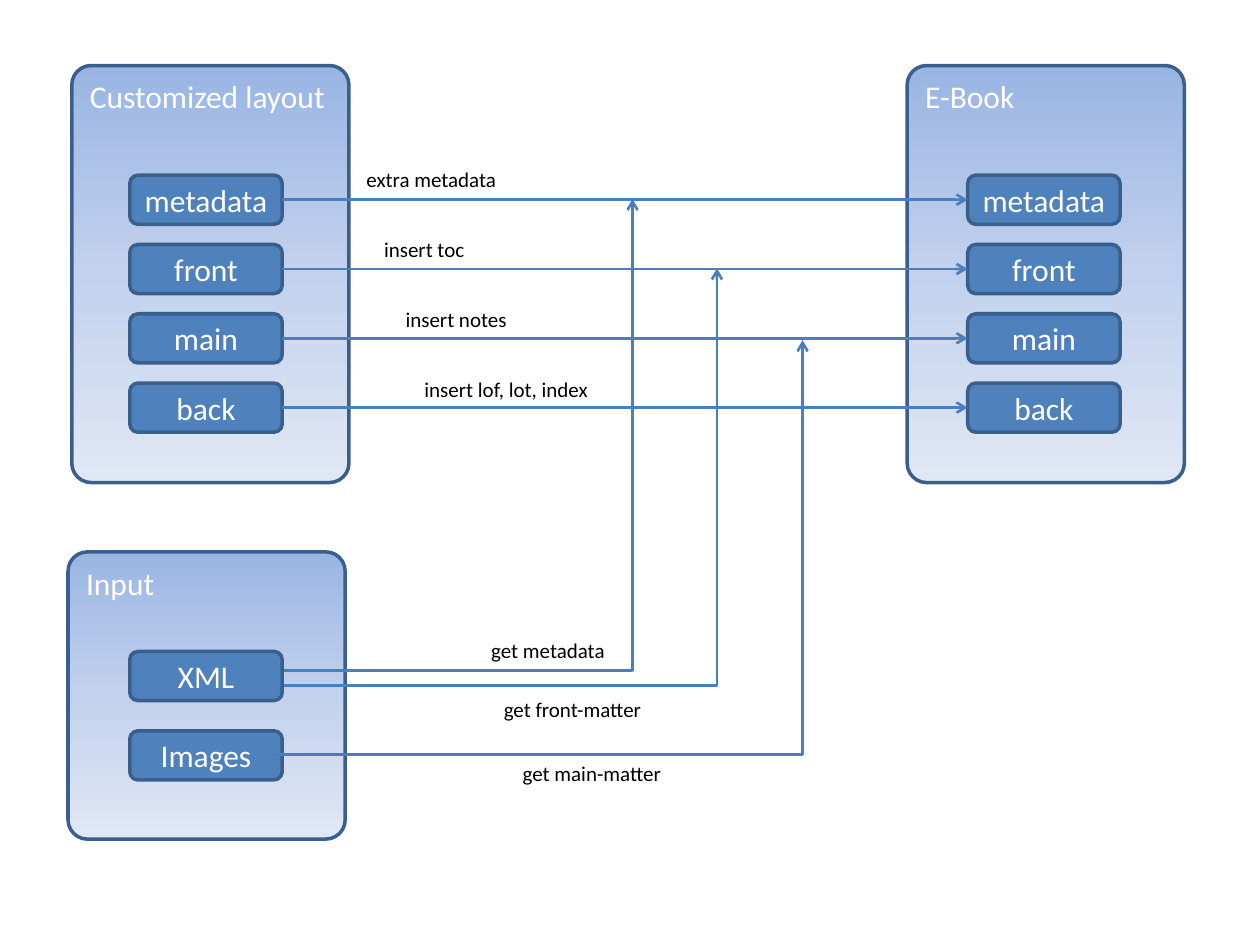
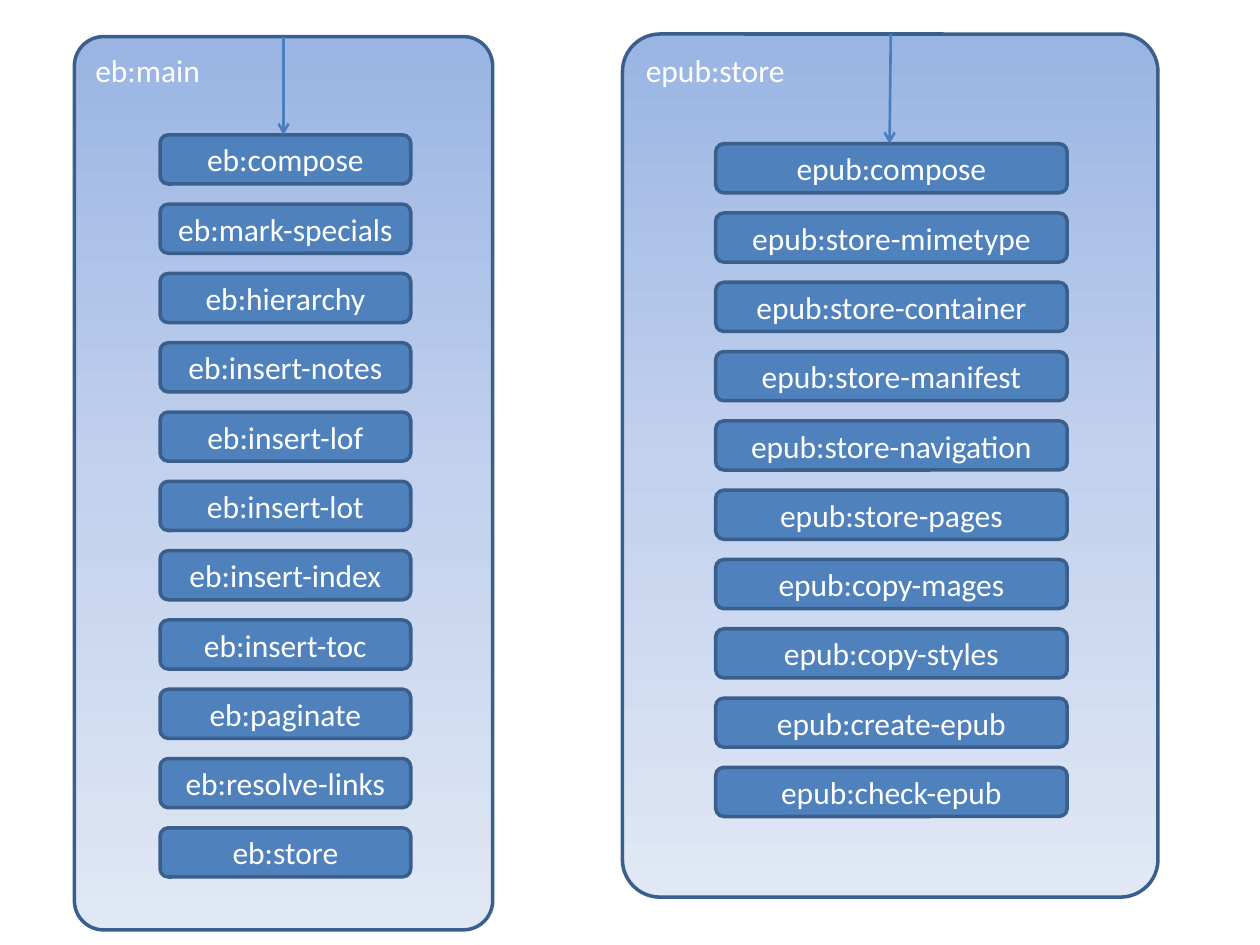
import copy
import pptx
import pptx.dml.color
import pptx.enum.shapes
import pptx.enum.text
import pptx.oxml.ns
import pptx.util
from lxml import etree

Inches = pptx.util.Inches
Pt = pptx.util.Pt
qn = pptx.oxml.ns.qn
Shape = pptx.enum.shapes.MSO_SHAPE
Link = pptx.enum.shapes.MSO_CONNECTOR
Align = pptx.enum.text.PP_ALIGN
Anchor = pptx.enum.text.MSO_ANCHOR
Fit = pptx.enum.text.MSO_AUTO_SIZE

FADE = ("9AB5E4", "C2D1ED", "E1E8F5")
BLUE, EDGE, WIRE = "4F81BD", "3A5F8C", "4B7EBC"
WHITE, BLACK = "FFFFFF", "000000"
HIGH, STEP = 0.39, 0.55
PARTS = ("metadata", "front", "main", "back")
MAIN = ("compose", "mark-specials", "hierarchy", "insert-notes",
        "insert-lof", "insert-lot", "insert-index", "insert-toc",
        "paginate", "resolve-links", "store")
STORE = ("compose", "store-mimetype", "store-container",
         "store-manifest", "store-navigation", "store-pages",
         "copy-mages", "copy-styles", "create-epub", "check-epub")


def color(code):
    return pptx.dml.color.RGBColor.from_string(code)


def style(item, form):
    for name, value in form.items():
        setattr(item, name, value)


def write(frame, text, size, code, align, form):
    style(frame, form)
    para = frame.paragraphs[0]
    para.alignment = align
    run = para.add_run()
    run.text = text
    style(run.font, {"name": "Calibri", "size": Pt(size)})
    run.font.color.rgb = color(code)


def block(slide, left, top, width, height):
    shape = slide.shapes.add_shape(
        Shape.ROUNDED_RECTANGLE,
        Inches(left), Inches(top), Inches(width), Inches(height))
    shape.shadow.inherit = False
    shape.line.width = Pt(2)
    shape.line.color.rgb = color(EDGE)
    return shape


def panel(slide, text, left, top, width, height):
    shape = block(slide, left, top, width, height)
    shape.adjustments[0] = 0.07
    shape.fill.gradient()
    shape.fill.gradient_angle = 270
    stops = shape._element.spPr.find(".//" + qn("a:gsLst"))
    stops.insert(1, copy.deepcopy(stops[0]))
    for stop, code, place in zip(shape.fill.gradient_stops, FADE, (0, 0.5, 1)):
        stop.color.rgb = color(code)
        stop.position = place
    write(shape.text_frame, text, 18, WHITE, Align.LEFT,
          {"vertical_anchor": Anchor.TOP, "word_wrap": True})


def box(slide, text, left, top, width=1.21):
    shape = block(slide, left, top, width, HIGH)
    shape.fill.solid()
    shape.fill.fore_color.rgb = color(BLUE)
    write(shape.text_frame, text, 18, WHITE, Align.CENTER,
          {"vertical_anchor": Anchor.MIDDLE, "word_wrap": True})


def stack(slide, names, left, top, width=1.21):
    for row, name in enumerate(names):
        box(slide, name, left, top + row * STEP, width)


def label(slide, text, left, top, width):
    shape = slide.shapes.add_textbox(
        Inches(left), Inches(top), Inches(width), Inches(0.3))
    write(shape.text_frame, text, 12, BLACK, Align.LEFT,
          {"word_wrap": False, "auto_size": Fit.SHAPE_TO_FIT_TEXT})


def arrow(slide, left, top, right, end, bent=False):
    wire = slide.shapes.add_connector(
        Link.ELBOW if bent else Link.STRAIGHT,
        Inches(left), Inches(top), Inches(right), Inches(end))
    wire.line.width = Pt(1.5)
    wire.line.color.rgb = color(WIRE)
    props = wire._element.spPr
    if bent:
        props.find(qn("a:prstGeom")).set("prst", "bentConnector2")
    etree.SubElement(props.find(qn("a:ln")), qn("a:tailEnd"), type="arrow")
    etree.SubElement(props, qn("a:effectLst"))


def flow(slide):
    panel(slide, "Input", 0.54, 4.38, 2.2, 2.28)
    box(slide, "Images", 1.03, 5.8)
    for text, left in (("Customized layout", 0.57), ("E-Book", 7.2)):
        panel(slide, text, left, 0.52, 2.2, 3.31)
    for left in (1.03, 7.68):
        stack(slide, PARTS, left, 1.39)
    for row in range(len(PARTS)):
        level = 1.39 + HIGH / 2 + row * STEP
        arrow(slide, 2.24, level, 7.68, level)
    for left, top, right, end in (
            (2.17, 5.44, 5.69, 2.13),
            (2.17, 5.99, 6.37, 2.7),
            (2.24, 5.32, 5.02, 1.58)):
        arrow(slide, left, top, right, end, True)
    for text, left, top, width in (
            ("extra metadata", 2.81, 1.27, 1.24),
            ("insert toc", 2.95, 1.83, 0.86),
            ("insert notes", 3.12, 2.38, 1.02),
            ("insert lof, lot, index", 3.27, 2.94, 1.52),
            ("get metadata", 3.8, 5.01, 1.12),
            ("get front-matter", 3.9, 5.48, 1.34),
            ("get main-matter", 4.05, 5.99, 1.34)):
        label(slide, text, left, top, width)
    box(slide, "XML", 1.03, 5.17)


def steps(slide):
    panel(slide, "eb:main", 0.59, 0.29, 3.32, 7.09)
    stack(slide, ["eb:" + name for name in MAIN], 1.27, 1.07, 1.99)
    arrow(slide, 2.25, 0.29, 2.25, 1.07)
    panel(slide, "epub:store", 4.94, 0.27, 4.25, 6.85)
    stack(slide, ["epub:" + name for name in STORE], 5.68, 1.14, 2.79)
    arrow(slide, 7.07, 0.27, 7.06, 1.14)


def main():
    deck = pptx.Presentation()
    style(deck, {"slide_width": Inches(10), "slide_height": Inches(7.5)})
    for draw in (flow, steps):
        draw(deck.slides.add_slide(deck.slide_layouts[6]))
    deck.save("out.pptx")


main()
